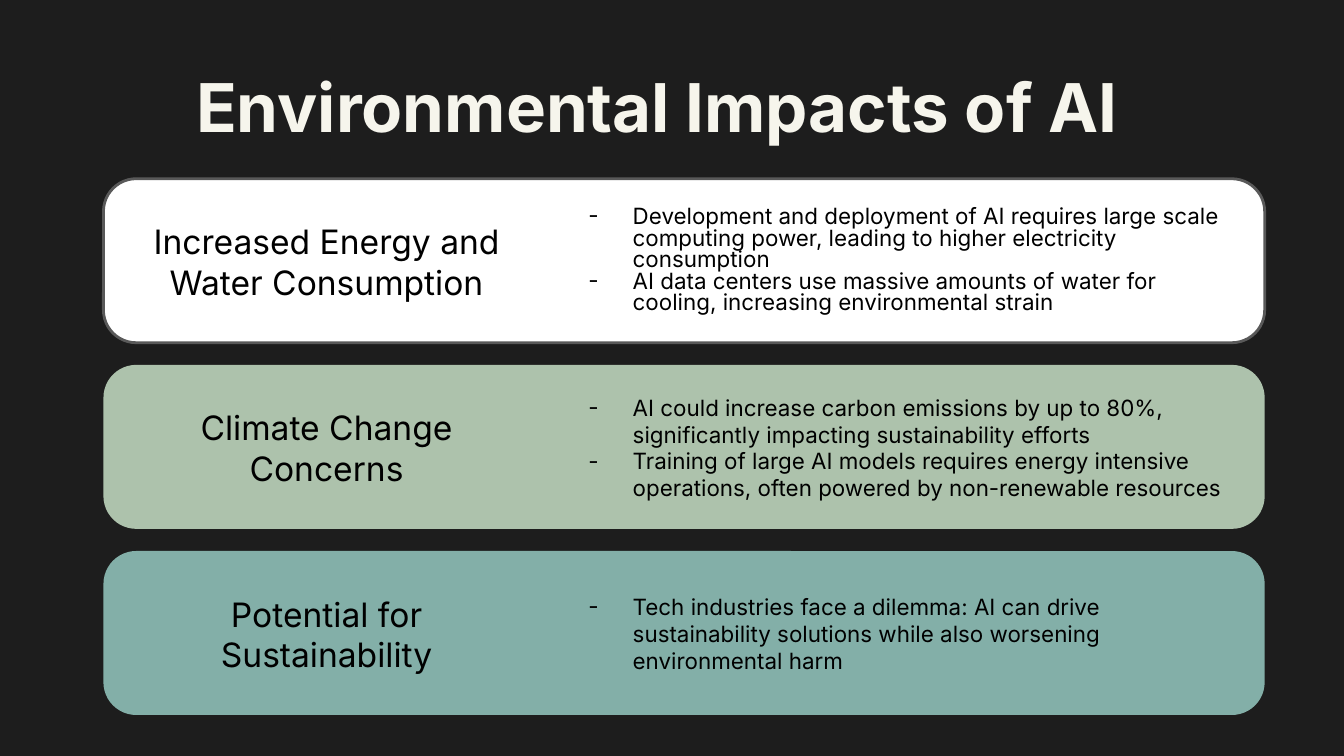
from lxml.etree import SubElement
from pptx import Presentation
from pptx.dml.color import RGBColor
from pptx.enum.shapes import MSO_SHAPE
from pptx.enum.text import MSO_ANCHOR, MSO_AUTO_SIZE, PP_ALIGN
from pptx.oxml.ns import qn
from pptx.util import Inches, Pt

DARK = RGBColor(0x1D, 0x1D, 0x1D)
CREAM = RGBColor(0xF6, 0xF5, 0xEC)
BLACK = RGBColor(0x00, 0x00, 0x00)
WHITE = RGBColor(0xFF, 0xFF, 0xFF)
GRAY = RGBColor(0x59, 0x59, 0x59)
GREEN = RGBColor(0xAD, 0xC2, 0xAC)
TEAL = RGBColor(0x83, 0xAF, 0xA8)

FONT = "Inter"
FIRST_CARD_TOP = 1.33
LAST_CARD_TOP = 4.1
TEXT_OFFSET = 0.09

IMPACTS = [
    (
        "Increased Energy and Water Consumption",
        [
            "Development and deployment of AI requires large scale computing power, "
            "leading to higher electricity consumption",
            "AI data centers use massive amounts of water for cooling, "
            "increasing environmental strain",
        ],
        WHITE, GRAY, 0.8,
    ),
    (
        "Climate Change Concerns",
        [
            "AI could increase carbon emissions by up to 80%, "
            "significantly impacting sustainability efforts",
            "Training of large AI models requires energy intensive operations, "
            "often powered by non-renewable resources",
        ],
        GREEN, None, 1.0,
    ),
    (
        "Potential for Sustainability",
        [
            "Tech industries face a dilemma: AI can drive sustainability solutions "
            "while also worsening environmental harm",
        ],
        TEAL, None, 1.0,
    ),
]


def format_frame(frame):
    frame.word_wrap = True
    frame.auto_size = MSO_AUTO_SIZE.NONE
    frame.vertical_anchor = MSO_ANCHOR.MIDDLE
    frame.margin_left = frame.margin_right = Inches(0.1)
    frame.margin_top = frame.margin_bottom = Inches(0.1)


def add_run(paragraph, text, size, color, bold=False):
    run = paragraph.add_run()
    run.text = text
    run.font.name = FONT
    run.font.size = Pt(size)
    run.font.bold = bold
    run.font.color.rgb = color


def add_dash(paragraph):
    properties = paragraph._p.get_or_add_pPr()
    properties.set("marL", str(Inches(0.5)))
    properties.set("indent", str(-Inches(0.33)))
    bullet_color = SubElement(properties, qn("a:buClr"))
    SubElement(bullet_color, qn("a:srgbClr"), val=str(BLACK))
    SubElement(properties, qn("a:buFont"), typeface=FONT)
    SubElement(properties, qn("a:buChar"), char="-")


def add_text_frame(slide, left, top, width):
    box = slide.shapes.add_textbox(
        Inches(left), Inches(top), Inches(width), Inches(1.05)
    )
    format_frame(box.text_frame)
    return box.text_frame


def set_title(slide, text):
    title = slide.shapes.title
    title.left, title.top = Inches(0.57), Inches(0.42)
    title.width, title.height = Inches(8.64), Inches(0.73)
    format_frame(title.text_frame)
    paragraph = title.text_frame.paragraphs[0]
    paragraph.alignment = PP_ALIGN.CENTER
    add_run(paragraph, text, 36, CREAM, bold=True)


def add_card(slide, top, fill, outline):
    card = slide.shapes.add_shape(
        MSO_SHAPE.ROUNDED_RECTANGLE,
        Inches(0.77), Inches(top), Inches(8.64), Inches(1.22),
    )
    card.adjustments[0] = 0.2
    card.shadow.inherit = False
    card.fill.solid()
    card.fill.fore_color.rgb = fill
    if outline is None:
        card.line.fill.background()
    else:
        card.line.color.rgb = outline
        card.line.width = Pt(1.5)


def add_heading(slide, top, text):
    paragraph = add_text_frame(slide, 0.89, top, 3.08).paragraphs[0]
    paragraph.alignment = PP_ALIGN.CENTER
    add_run(paragraph, text, 18, BLACK)


def add_points(slide, top, points, line_spacing):
    frame = add_text_frame(slide, 4.11, top, 5.17)
    for index, point in enumerate(points):
        paragraph = frame.add_paragraph() if index else frame.paragraphs[0]
        add_dash(paragraph)
        paragraph.line_spacing = line_spacing
        add_run(paragraph, point, 12, BLACK)


def main():
    presentation = Presentation()
    presentation.slide_width = Inches(10)
    presentation.slide_height = Inches(10) * 9 // 16
    slide = presentation.slides.add_slide(presentation.slide_layouts[5])
    slide.background.fill.solid()
    slide.background.fill.fore_color.rgb = DARK

    set_title(slide, "Environmental Impacts of AI")
    pitch = (LAST_CARD_TOP - FIRST_CARD_TOP) / (len(IMPACTS) - 1)
    for index, (heading, points, fill, outline, line_spacing) in enumerate(IMPACTS):
        top = FIRST_CARD_TOP + index * pitch
        add_card(slide, top, fill, outline)
        add_heading(slide, top + TEXT_OFFSET, heading)
        add_points(slide, top + TEXT_OFFSET, points, line_spacing)

    presentation.save("out.pptx")


if __name__ == "__main__":
    main()
